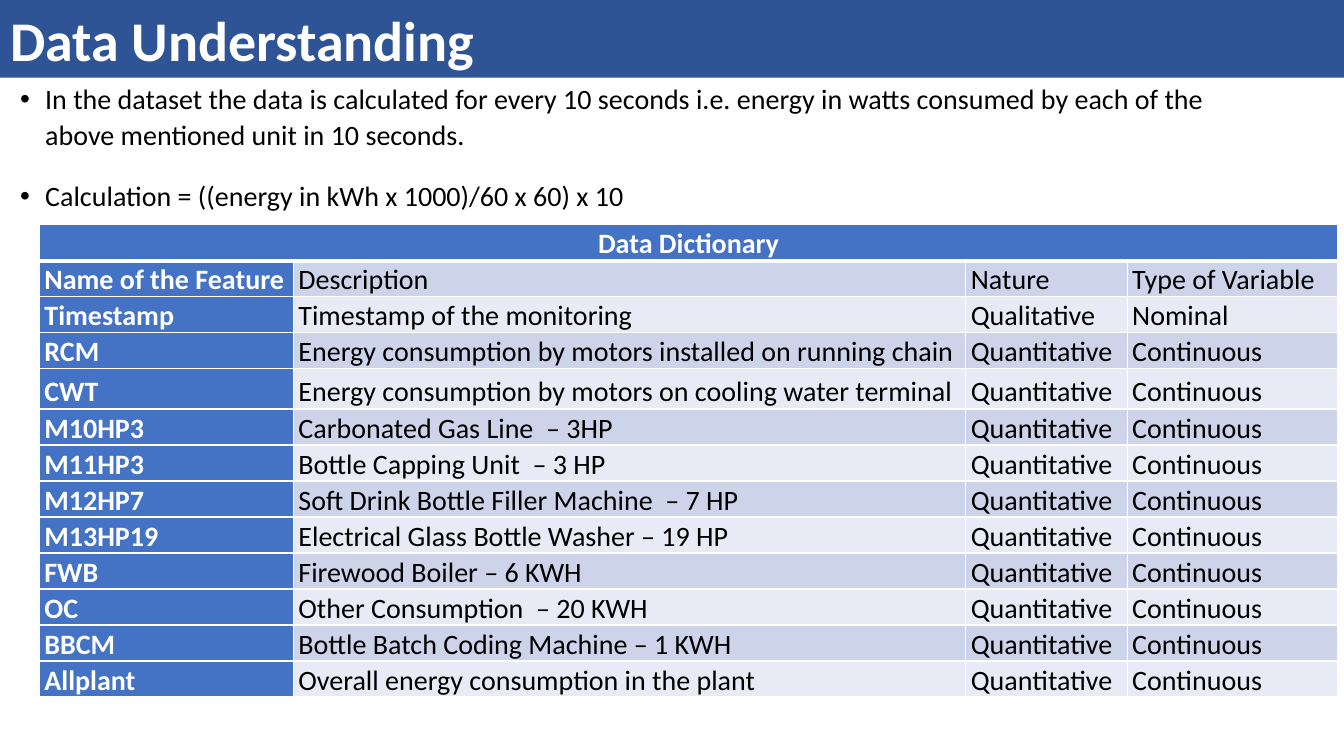
import pptx
import pptx.util
import pptx.dml.color
import pptx.enum.text
import pptx.oxml
from dataclasses import dataclass
from lxml import etree
from pptx.util import Inches

Align = pptx.enum.text.PP_ALIGN
Anchor = pptx.enum.text.MSO_ANCHOR
Fit = pptx.enum.text.MSO_AUTO_SIZE


@dataclass(frozen=True)
class Theme:
    font: str = "Calibri"
    big: int = 40
    text: int = 20
    lead: float = 1.07
    bar: str = "2F5496"
    head: str = "4472C4"
    bands: tuple = ("E8EBF5", "CDD4EA")
    white: str = "FFFFFF"
    black: str = "000000"


THEME = Theme()

TITLE = "Data Understanding"
NOTES = [
    "In the dataset the data is calculated for every 10 seconds i.e. energy in watts "
    "consumed by each of the above mentioned unit in 10 seconds.",
    "Calculation = ((energy in kWh x 1000)/60 x 60) x 10",
]
CAPTION = "Data Dictionary"
HEADS = ("Name of the Feature", "Description", "Nature", "Type of Variable")
METERS = [
    ("RCM", "Energy consumption by motors installed on running chain"),
    ("CWT", "Energy consumption by motors on cooling water terminal"),
    ("M10HP3", "Carbonated Gas Line  – 3HP"),
    ("M11HP3", "Bottle Capping Unit  – 3 HP"),
    ("M12HP7", "Soft Drink Bottle Filler Machine  – 7 HP"),
    ("M13HP19", "Electrical Glass Bottle Washer – 19 HP"),
    ("FWB", "Firewood Boiler – 6 KWH"),
    ("OC", "Other Consumption  – 20 KWH"),
    ("BBCM", "Bottle Batch Coding Machine – 1 KWH"),
    ("Allplant", "Overall energy consumption in the plant"),
]
ROWS = [
    (CAPTION, "", "", ""),
    HEADS,
    ("Timestamp", "Timestamp of the monitoring", "Qualitative", "Nominal"),
    *((name, text, "Quantitative", "Continuous") for name, text in METERS),
]
COLS = (2.52, 6.67, 1.6, 2.09)
ROW = 0.35
TALL = {4: 0.4}


def color(code):
    return pptx.dml.color.RGBColor.from_string(code)


def style(para, size, code, bold=False):
    font = para.font
    font.name = THEME.font
    font.size = pptx.util.Pt(size)
    font.bold = bold
    font.color.rgb = color(code)


def paint(fill, code):
    fill.solid()
    fill.fore_color.rgb = color(code)


def add_title(slide, left, top, width, height):
    title = slide.shapes.title
    title.left, title.top = Inches(left), Inches(top)
    title.width, title.height = Inches(width), Inches(height)
    paint(title.fill, THEME.bar)
    frame = title.text_frame
    frame.text = TITLE
    frame.auto_size = Fit.NONE
    frame.vertical_anchor = Anchor.MIDDLE
    para = frame.paragraphs[0]
    para.alignment = Align.LEFT
    style(para, THEME.big, THEME.white, True)


def add_bullet(para):
    props = para._p.get_or_add_pPr()
    props.set("marL", str(Inches(0.25)))
    props.set("indent", str(-Inches(0.25)))
    tint = etree.SubElement(props, pptx.oxml.ns.qn("a:buClr"))
    etree.SubElement(tint, pptx.oxml.ns.qn("a:srgbClr"), val=THEME.black)
    etree.SubElement(props, pptx.oxml.ns.qn("a:buFont"), typeface="Arial")
    etree.SubElement(props, pptx.oxml.ns.qn("a:buChar"), char="•")


def add_notes(slide, left, top, width, height):
    box = slide.shapes.add_textbox(
        Inches(left), Inches(top), Inches(width), Inches(height))
    frame = box.text_frame
    frame.word_wrap = True
    for i, note in enumerate(NOTES):
        para = frame.add_paragraph() if i else frame.paragraphs[0]
        para.text = note
        add_bullet(para)
        para.line_spacing = THEME.lead
        if i:
            para.space_before = pptx.util.Pt(18)
        style(para, THEME.text, THEME.black)


def add_edges(cell, row):
    """Draw white borders, with a thick rule under the caption row."""
    props = cell._tc.get_or_add_tcPr()
    thick = {"T": row == 1, "B": row == 0}
    for side in "LRTB":
        width = pptx.util.Pt(3 if thick.get(side) else 1)
        line = etree.SubElement(
            props, pptx.oxml.ns.qn("a:ln" + side), w=str(width))
        fill = etree.SubElement(line, pptx.oxml.ns.qn("a:solidFill"))
        etree.SubElement(fill, pptx.oxml.ns.qn("a:srgbClr"), val=THEME.white)


def fill_cell(cell, text, row, col):
    head = row == 0 or col == 0
    add_edges(cell, row)
    paint(cell.fill, THEME.head if head else THEME.bands[row % 2])
    cell.margin_left = cell.margin_right = Inches(0.05)
    cell.margin_top = cell.margin_bottom = 0
    cell.vertical_anchor = Anchor.BOTTOM
    cell.text = text
    para = cell.text_frame.paragraphs[0]
    para.alignment = Align.LEFT if row else Align.CENTER
    para.line_spacing = THEME.lead
    style(para, THEME.text, THEME.white if head else THEME.black, head)


def add_table(slide, left, top):
    sizes = [TALL.get(i, ROW) for i in range(len(ROWS))]
    table = slide.shapes.add_table(
        len(ROWS), len(COLS), Inches(left), Inches(top),
        Inches(sum(COLS)), Inches(sum(sizes))).table
    for col, width in zip(table.columns, COLS):
        col.width = Inches(width)
    for row, height in zip(table.rows, sizes):
        row.height = Inches(height)
    for r, texts in enumerate(ROWS):
        for c, text in enumerate(texts):
            fill_cell(table.cell(r, c), text, r, c)
    table.cell(0, 0).merge(table.cell(0, len(COLS) - 1))


def main():
    deck = pptx.Presentation()
    deck.slide_width, deck.slide_height = Inches(13.33), Inches(7.5)
    slide = deck.slides.add_slide(deck.slide_layouts[5])
    add_title(slide, 0, 0, 13.33, 0.77)
    add_notes(slide, 0.1, 0.74, 12.12, 5.16)
    add_table(slide, 0.39, 2.23)
    deck.save("out.pptx")


if __name__ == "__main__":
    main()
